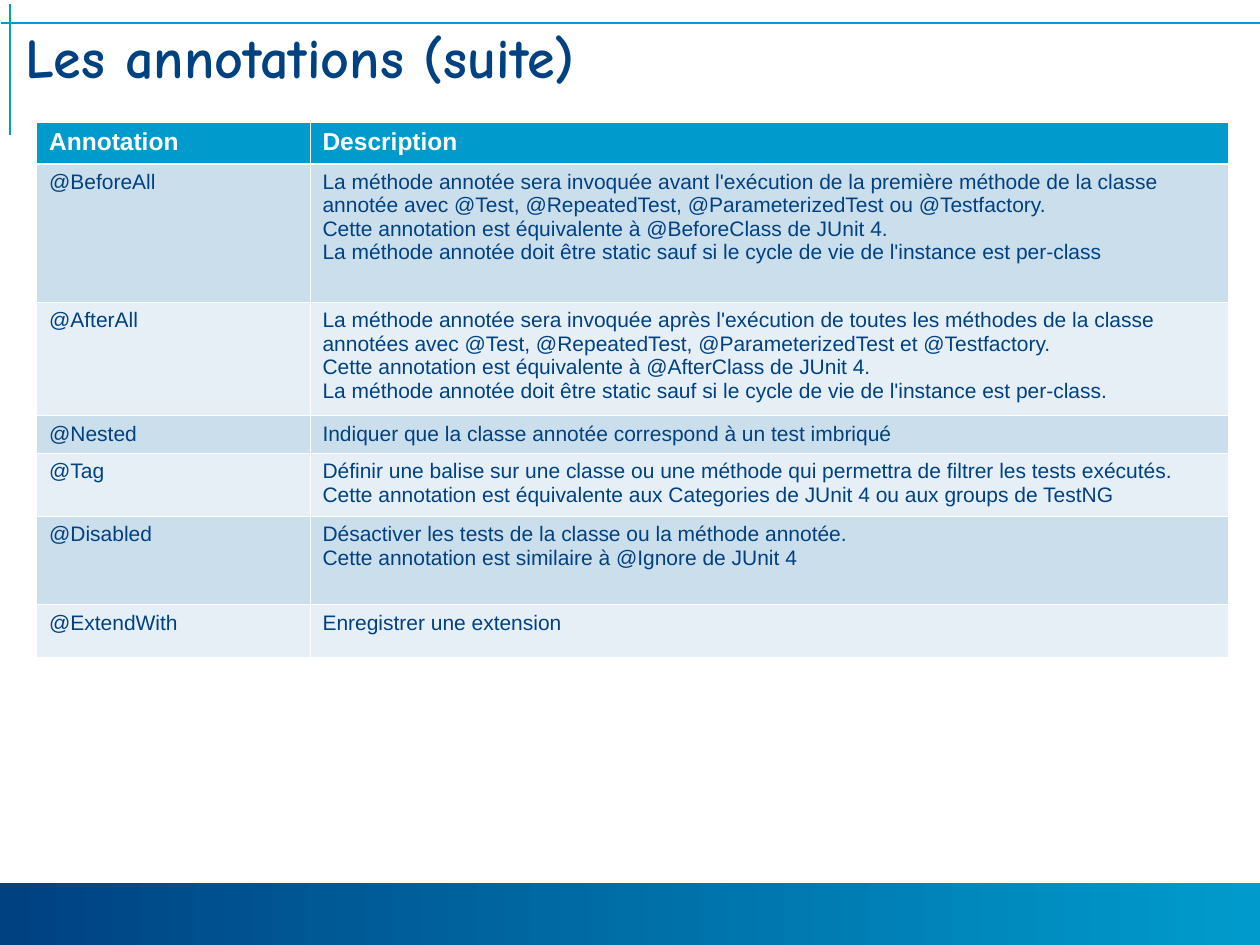
from lxml.etree import SubElement as Sub
from pptx import Presentation
from pptx.dml.color import RGBColor
from pptx.enum.shapes import MSO_CONNECTOR as Conn, MSO_SHAPE as Kind
from pptx.enum.text import MSO_ANCHOR as Anchor, MSO_AUTO_SIZE as Auto, PP_ALIGN as Align
from pptx.oxml.ns import qn
from pptx.util import Inches, Pt

NAVY, CYAN, WHITE = "004182", "009BCC", "FFFFFF"
BANDS = ("CBDEEC", "E7EFF6")
HEAD = {"name": "Comic Neue", "size": Pt(32), "bold": True}
TOP = {"name": "Arial", "size": Pt(14), "bold": True}
BODY = {"name": "Arial", "size": Pt(12), "bold": False}
THIN, THICK = 0.45, 1.47

ROWS = [
    ("Annotation", ["Description"]),
    ("@BeforeAll", [
        "La méthode annotée sera invoquée avant l'exécution de la première méthode de la classe "
        "annotée avec @Test, @RepeatedTest, @ParameterizedTest ou @Testfactory.",
        "Cette annotation est équivalente à @BeforeClass de JUnit 4.",
        "La méthode annotée doit être static sauf si le cycle de vie de l'instance est per-class"]),
    ("@AfterAll", [
        "La méthode annotée sera invoquée après l'exécution de toutes les méthodes de la classe "
        "annotées avec @Test, @RepeatedTest, @ParameterizedTest et @Testfactory.",
        "Cette annotation est équivalente à @AfterClass de JUnit 4.",
        "La méthode annotée doit être static sauf si le cycle de vie de l'instance est per-class."]),
    ("@Nested", ["Indiquer que la classe annotée correspond à un test imbriqué"]),
    ("@Tag", [
        "Définir une balise sur une classe ou une méthode qui permettra de filtrer les tests "
        "exécutés. Cette annotation est équivalente aux Categories de JUnit 4 ou aux groups de TestNG"]),
    ("@Disabled", [
        "Désactiver les tests de la classe ou la méthode annotée.",
        "Cette annotation est similaire à @Ignore de JUnit 4"]),
    ("@ExtendWith", ["Enregistrer une extension"]),
]


def rgb(code):
    return RGBColor.from_string(code)


def apply(item, style):
    for key, val in style.items():
        setattr(item, key, val)


class Deck:
    """Holds the style and the slide; lengths are cells of a 100 by 75 grid."""

    def __init__(self):
        self.prs = Presentation()
        self.prs.slide_width, self.prs.slide_height = Inches(10), Inches(7.5)
        self.unit = self.prs.slide_width / 100
        self.slide = self.prs.slides.add_slide(self.prs.slide_layouts[5])
        self.shapes = self.slide.shapes

    def grid(self, *cells):
        return [round(n * self.unit) for n in cells]

    def text(self, par, words, style, tint):
        run = par.add_run()
        run.text = words
        apply(run.font, style)
        run.font.color.rgb = rgb(tint)

    def band(self, box, first, last):
        bar = self.shapes.add_shape(Kind.RECTANGLE, *self.grid(*box))
        bar.shadow.inherit = False
        bar.line.fill.background()
        bar.fill.gradient()
        bar.fill.gradient_angle = 0
        for stop, tint, pos in zip(bar.fill.gradient_stops, (first, last), (0, 1)):
            stop.color.rgb, stop.position = rgb(tint), pos

    def rule(self, ends):
        line = self.shapes.add_connector(Conn.STRAIGHT, *self.grid(*ends))
        line.line.width, line.line.color.rgb = Pt(1), rgb(CYAN)
        Sub(line.element.spPr, qn("a:effectLst"))

    def title(self, box, words):
        head = self.shapes.title
        apply(head, dict(zip(("left", "top", "width", "height"), self.grid(*box))))
        side, edge = self.grid(1, 0.4)
        apply(head.text_frame, {
            "margin_left": side, "margin_right": side, "margin_top": edge,
            "margin_bottom": edge, "word_wrap": True, "auto_size": Auto.NONE,
            "vertical_anchor": Anchor.TOP})
        par = head.text_frame.paragraphs[0]
        apply(par, {"alignment": Align.LEFT, "line_spacing": 0.85})
        self.text(par, words, HEAD, NAVY)

    def edge(self, cell, row):
        widths = {"L": THIN, "R": THIN, "T": THICK if row == 1 else THIN,
                  "B": THICK if row == 0 else THIN}
        props = cell._tc.get_or_add_tcPr()
        for side, width in widths.items():
            line = Sub(props, qn("a:ln" + side), w=str(Pt(width)))
            Sub(Sub(line, qn("a:solidFill")), qn("a:srgbClr"), val=WHITE)

    def cell(self, cell, row, lines):
        self.edge(cell, row)
        cell.fill.solid()
        cell.fill.fore_color.rgb = rgb(BANDS[(row - 1) % 2] if row else CYAN)
        style, tint = (BODY, NAVY) if row else (TOP, WHITE)
        frame = cell.text_frame
        for i, words in enumerate(lines):
            par = frame.add_paragraph() if i else frame.paragraphs[0]
            self.text(par, words, style, tint)

    def table(self, left, top, cols, highs, rows):
        box = self.grid(left, top, sum(cols), sum(highs))
        tab = self.shapes.add_table(len(rows), len(cols), *box).table
        for col, wide in zip(tab.columns, self.grid(*cols)):
            col.width = wide
        for row, high in zip(tab.rows, self.grid(*highs)):
            row.height = high
        for r, (name, lines) in enumerate(rows):
            self.cell(tab.cell(r, 0), r, [name])
            self.cell(tab.cell(r, 1), r, lines)


def main():
    deck = Deck()
    # Footer band and corner rules
    deck.band((0, 70.1, 100, 5.2), NAVY, CYAN)
    deck.rule((0.1, 1.8, 100, 1.8))
    deck.rule((0.8, 0.3, 0.8, 10.7))
    # Title
    deck.title((1, 2.2, 98.3, 10.1), "Les annotations (suite)")
    # Annotation table
    deck.table(2.9, 9.7, (21.7, 72.9), (3.3, 11, 9, 3, 5, 7, 4.2), ROWS)
    deck.prs.save("out.pptx")


if __name__ == "__main__":
    main()
